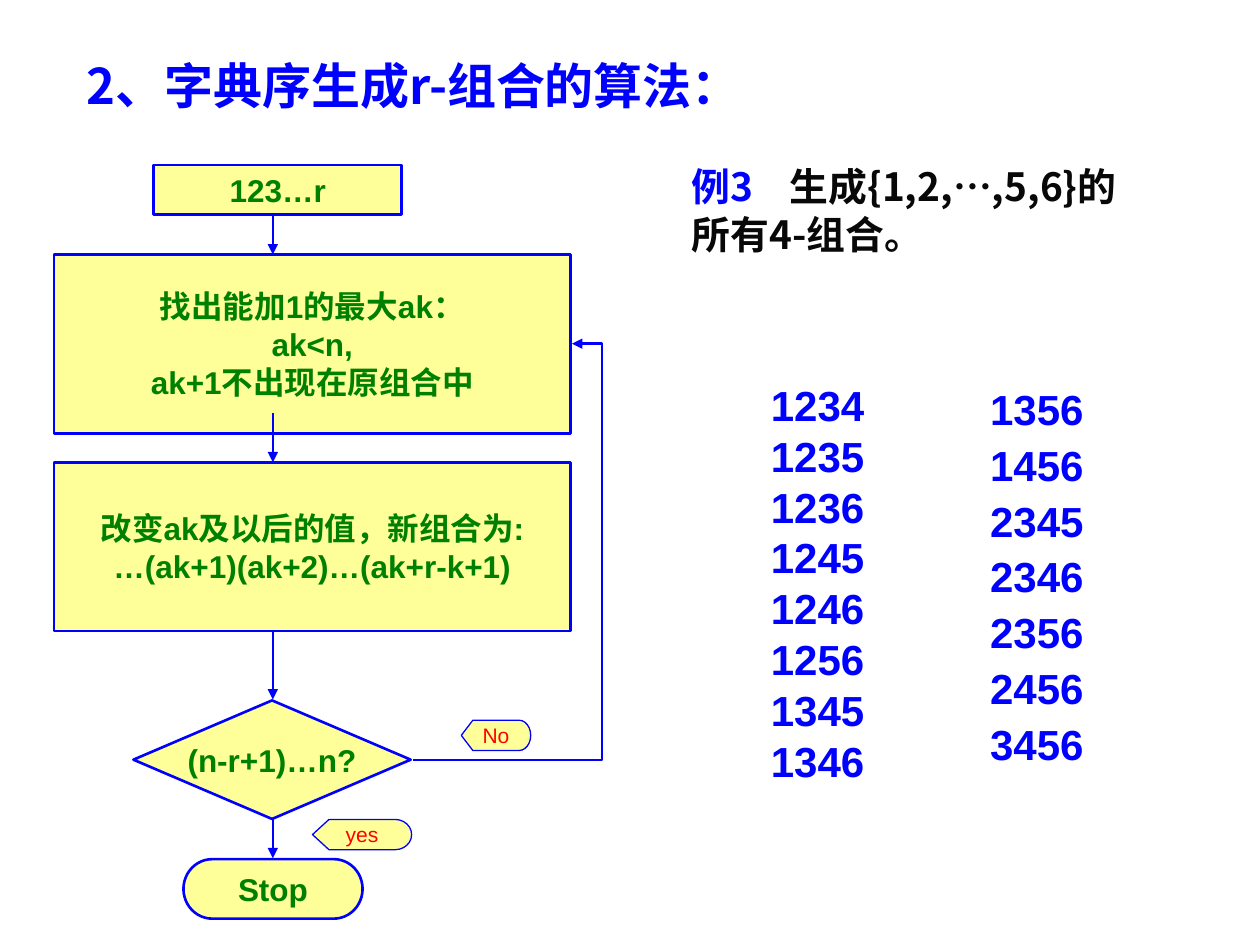
from dataclasses import dataclass
from itertools import combinations

from pptx import Presentation
from pptx import util as u
from pptx.dml.color import RGBColor
from pptx.enum import shapes, text
from pptx.oxml import ns
from lxml import etree


@dataclass(frozen=True)
class Theme:
    blue: RGBColor = RGBColor(0x00, 0x00, 0xFF)
    green: RGBColor = RGBColor(0x00, 0x80, 0x00)
    red: RGBColor = RGBColor(0xFF, 0x00, 0x00)
    black: RGBColor = RGBColor(0x08, 0x08, 0x08)
    yellow: RGBColor = RGBColor(0xFF, 0xFF, 0x99)
    latin: str = "Arial"
    chinese: str = "Noto Sans CJK SC"
    title: float = 28
    example: float = 22.2
    numbers: float = 24
    step: float = 18
    label: float = 12
    thick: float = 1.5
    thin: float = 0.75


THEME = Theme()
Kind = shapes.MSO_SHAPE


@dataclass(frozen=True)
class Box:
    left: float
    top: float
    width: float
    height: float

    def lengths(self) -> list:
        return [u.Cm(v) for v in (self.left, self.top, self.width, self.height)]


@dataclass(frozen=True)
class Step:
    kind: Kind
    box: Box
    lines: tuple
    is_label: bool = False


def style_paragraph(paragraph, size: float, color: RGBColor, name: str, bold: bool = True) -> None:
    font = paragraph.font
    font.size, font.bold, font.name = u.Pt(size), bold, name
    font.color.rgb = color
    properties = paragraph._p.pPr.find(ns.qn("a:defRPr"))
    east_asian = etree.SubElement(properties, ns.qn("a:ea"))
    east_asian.set("typeface", THEME.chinese)


def add_paragraphs(frame, lines) -> list:
    frame.text = "\n".join(lines)
    return list(frame.paragraphs)


def add_text(slide, box: Box, lines, size: float, name: str, spacing: float) -> list:
    frame = slide.shapes.add_textbox(*box.lengths()).text_frame
    frame.word_wrap = True
    paragraphs = add_paragraphs(frame, lines)
    for index, paragraph in enumerate(paragraphs):
        paragraph.line_spacing = spacing
        if index:
            paragraph.space_before = u.Pt(6)
        style_paragraph(paragraph, size, THEME.blue, name)
    return paragraphs


def add_step(slide, step: Step) -> None:
    shape = slide.shapes.add_shape(step.kind, *step.box.lengths())
    shape.shadow.inherit = False
    shape.fill.solid()
    shape.fill.fore_color.rgb = THEME.yellow
    shape.line.color.rgb = THEME.blue
    shape.line.width = u.Pt(THEME.thin if step.is_label else THEME.thick)
    frame = shape.text_frame
    frame.word_wrap = False
    frame.vertical_anchor = text.MSO_ANCHOR.MIDDLE
    size, color = (THEME.label, THEME.red) if step.is_label else (THEME.step, THEME.green)
    for paragraph in add_paragraphs(frame, step.lines):
        paragraph.alignment = text.PP_ALIGN.CENTER
        style_paragraph(paragraph, size, color, THEME.latin, not step.is_label)


def add_arrow(slide, kind, start: tuple, end: tuple):
    points = [u.Cm(v) for v in (*start, *end)]
    connector = slide.shapes.add_connector(kind, *points)
    connector.line.color.rgb = THEME.blue
    connector.line.width = u.Pt(THEME.thick)
    line = connector.line._get_or_add_ln()
    etree.SubElement(line, ns.qn("a:tailEnd")).set("type", "triangle")
    etree.SubElement(connector._element.spPr, ns.qn("a:effectLst"))
    return connector


STEPS = (
    Step(Kind.FLOWCHART_PROCESS, Box(3.1, 3.33, 5, 1), ("123…r",)),
    Step(Kind.FLOWCHART_PROCESS, Box(1.09, 5.13, 10.41, 3.61),
         ("找出能加1的最大ak：", "ak<n,", "ak+1不出现在原组合中")),
    Step(Kind.FLOWCHART_PROCESS, Box(1.09, 9.32, 10.41, 3.4),
         ("改变ak及以后的值，新组合为:", "…(ak+1)(ak+2)…(ak+r-k+1)")),
    Step(Kind.FLOWCHART_DECISION, Box(2.69, 14.12, 5.59, 2.39), ("(n-r+1)…n?",)),
    Step(Kind.FLOWCHART_TERMINATOR, Box(3.7, 17.32, 3.61, 1.2), ("Stop",)),
    Step(Kind.FLOWCHART_DISPLAY, Box(6.3, 16.52, 2, 0.61), ("yes",), True),
    Step(Kind.FLOWCHART_DISPLAY, Box(9.3, 14.52, 1.4, 0.61), ("No",), True),
)
ARROW_X = 5.5
ARROW_SPANS = ((4.32, 5.13), (8.33, 9.32), (12.72, 14.1), (16.52, 17.3))


def add_example(slide) -> None:
    box = Box(13.69, 3.33, 10.8, 2.59)
    first, second = add_text(slide, box, ("", "所有4-组合。"), THEME.example, THEME.chinese, 0.8)
    second.font.color.rgb = THEME.black
    # Tab stop between the example number and its statement
    tabs = etree.Element(ns.qn("a:tabLst"))
    etree.SubElement(tabs, ns.qn("a:tab"), pos=str(u.Cm(1.98)), algn="l")
    first._p.pPr.find(ns.qn("a:defRPr")).addprevious(tabs)
    for words, color in (("例3\t", THEME.blue), ("生成{1,2,…,5,6}的", THEME.black)):
        run = first.add_run()
        run.text = words
        run.font.color.rgb = color


def main() -> None:
    presentation = Presentation()
    presentation.slide_width, presentation.slide_height = u.Cm(25.4), u.Cm(19.05)
    slide = presentation.slides.add_slide(presentation.slide_layouts[6])

    # Title
    add_text(slide, Box(1.5, 1.12, 16.2, 1.6), ("2、字典序生成r-组合的算法：",),
             THEME.title, THEME.chinese, 0.9)

    # Flowchart
    for step in STEPS:
        add_step(slide, step)
    for top, bottom in ARROW_SPANS:
        add_arrow(slide, shapes.MSO_CONNECTOR.STRAIGHT, (ARROW_X, top), (ARROW_X, bottom))

    # Loop back, bending to the right of the boxes
    loop = add_arrow(slide, shapes.MSO_CONNECTOR.ELBOW, (8.33, 15.32), (11.53, 6.93))
    guides = loop._element.spPr.find(ns.qn("a:prstGeom")).find(ns.qn("a:avLst"))
    etree.SubElement(guides, ns.qn("a:gd"), name="adj1", fmla="val 118900")

    # Example and its combinations in lexicographic order
    add_example(slide)
    numbers = ["".join(digits) for digits in combinations("123456", 4)]
    for left, column, spacing in ((15.29, numbers[:8], 0.8), (19.71, numbers[8:], 0.9)):
        add_text(slide, Box(left, 7.72, 3.81, 8.99), column, THEME.numbers, THEME.latin, spacing)

    presentation.save("out.pptx")


if __name__ == "__main__":
    main()
